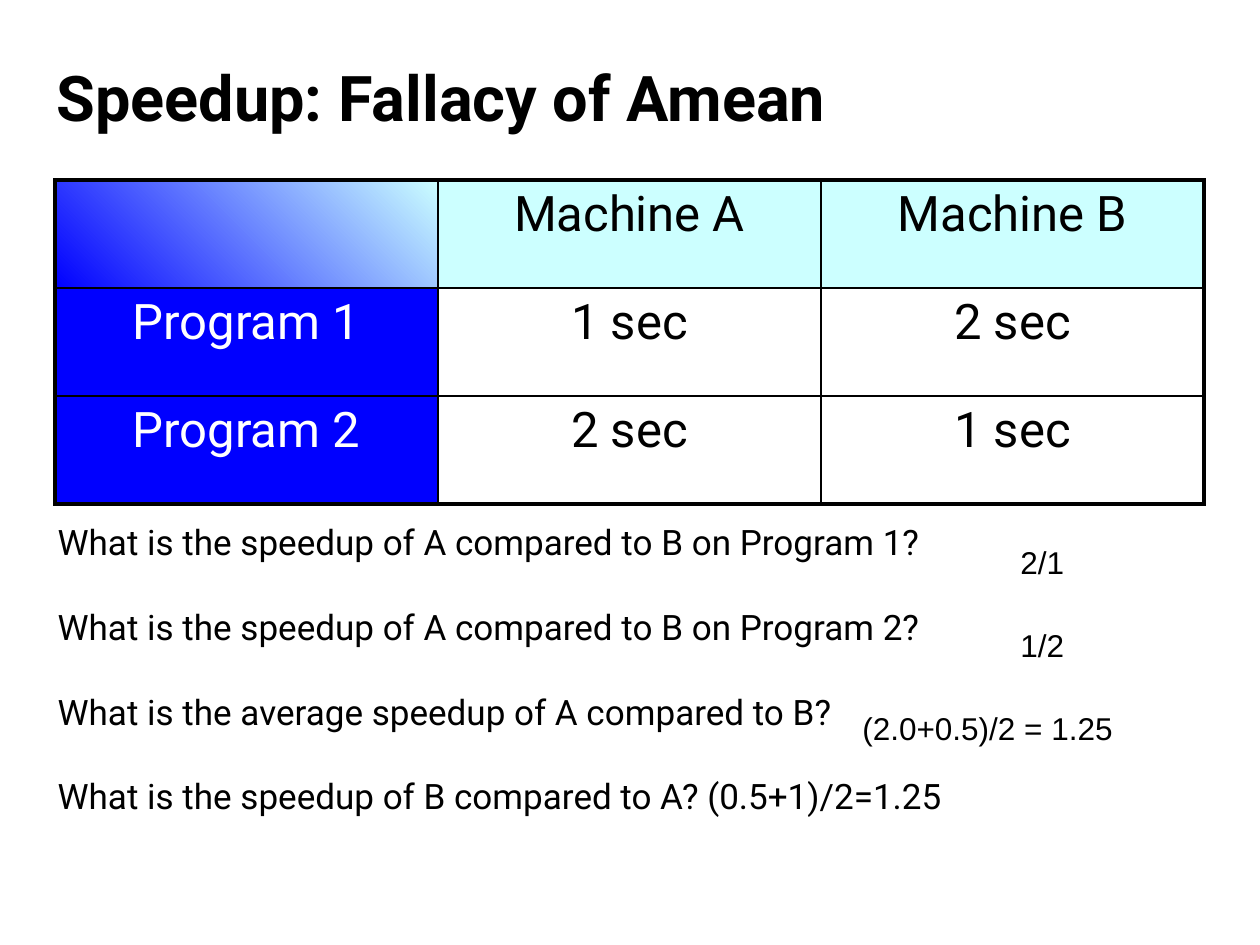
"""Build the slide on speedup and the fallacy of the arithmetic mean."""
import pptx
import pptx.dml.color
import pptx.enum.text
import pptx.oxml
import pptx.oxml.ns
import pptx.util

COLORS = {"black": "000000", "white": "FFFFFF", "blue": "0000FF", "aqua": "CCFFFF"}
SCALE = 914400 / 126
ALIGN = pptx.enum.text.PP_ALIGN


def place(*lengths):
    return [pptx.util.Emu(round(length * SCALE)) for length in lengths]


def style(para, name, size, color="black", bold=False):
    for run in para.runs:
        run.font.name = name
        run.font.size = pptx.util.Pt(size)
        run.font.bold = bold
        run.font.color.rgb = pptx.dml.color.RGBColor.from_string(COLORS[color])


deck = pptx.Presentation()
deck.slide_width, deck.slide_height = place(1260, 945)
page = deck.slides.add_slide(deck.slide_layouts[1])

title = page.shapes.title
title.left, title.top, title.width, title.height = place(44, 44, 1134, 105)
title.text_frame.text = "Speedup: Fallacy of Amean"
title.text_frame.auto_size = pptx.enum.text.MSO_AUTO_SIZE.NONE
title.text_frame.vertical_anchor = pptx.enum.text.MSO_ANCHOR.MIDDLE
title.text_frame.paragraphs[0].alignment = ALIGN.LEFT
style(title.text_frame.paragraphs[0], "Roboto", 36, bold=True)

timings = [
    ["", "Machine A", "Machine B"],
    ["Program 1", "1 sec", "2 sec"],
    ["Program 2", "2 sec", "1 sec"],
]
last = len(timings) - 1
table = page.shapes.add_table(3, 3, *place(55, 180, 1149, 324)).table
table.first_row = False
table.horz_banding = False
for row, texts in enumerate(timings):
    for column, text in enumerate(texts):
        cell = table.cell(row, column)
        cell.text = text
        para = cell.text_frame.paragraphs[0]
        para.alignment = ALIGN.CENTER
        style(para, "Roboto", 28, "white" if column == 0 else "black")

        if row == 0 and column == 0:
            cell.fill.gradient()
            cell.fill.gradient_angle = 45
            for stop, color in zip(cell.fill.gradient_stops, ("blue", "aqua")):
                stop.color.rgb = pptx.dml.color.RGBColor.from_string(COLORS[color])
        elif row == 0 or column == 0:
            cell.fill.solid()
            color = COLORS["aqua" if row == 0 else "blue"]
            cell.fill.fore_color.rgb = pptx.dml.color.RGBColor.from_string(color)
        else:
            cell.fill.background()

        outer_edges = {"L": column == 0, "R": column == last, "T": row == 0, "B": row == last}
        properties = cell._tc.get_or_add_tcPr()
        for index, (side, outer) in enumerate(outer_edges.items()):
            width = pptx.util.Pt(2.25 if outer else 1)
            border = pptx.oxml.parse_xml(
                f'<a:ln{side} {pptx.oxml.ns.nsdecls("a")} w="{width}"><a:solidFill>'
                f'<a:srgbClr val="{COLORS["black"]}"/></a:solidFill></a:ln{side}>'
            )
            properties.insert(index, border)

questions = [
    "What is the speedup of A compared to B on Program 1?",
    "What is the speedup of A compared to B on Program 2?",
    "What is the average speedup of A compared to B?",
    "What is the speedup of B compared to A? (0.5+1)/2=1.25",
]
body = page.placeholders[1]
body.left, body.top, body.width, body.height = place(45, 514, 1120, 380)
body.text_frame.text = "\n".join(questions)
body.text_frame.auto_size = pptx.enum.text.MSO_AUTO_SIZE.NONE
for index, para in enumerate(body.text_frame.paragraphs):
    properties = para._p.get_or_add_pPr()
    properties.set("marL", "0")
    properties.set("indent", "0")
    properties.append(pptx.oxml.parse_xml(f'<a:buNone {pptx.oxml.ns.nsdecls("a")}/>'))
    para.space_before = pptx.util.Pt(24.5 if index else 0)
    style(para, "Roboto", 20)

answers = [("2/1", 1008, 69), ("1/2", 1008, 69), ("(2.0+0.5)/2 = 1.25", 850, 278)]
for index, (text, left, width) in enumerate(answers):
    box = page.shapes.add_textbox(*place(left, 537 + 83 * index, width, 50))
    box.text_frame.word_wrap = False
    box.text_frame.text = text
    style(box.text_frame.paragraphs[0], "Arial", 18)

deck.save("out.pptx")
